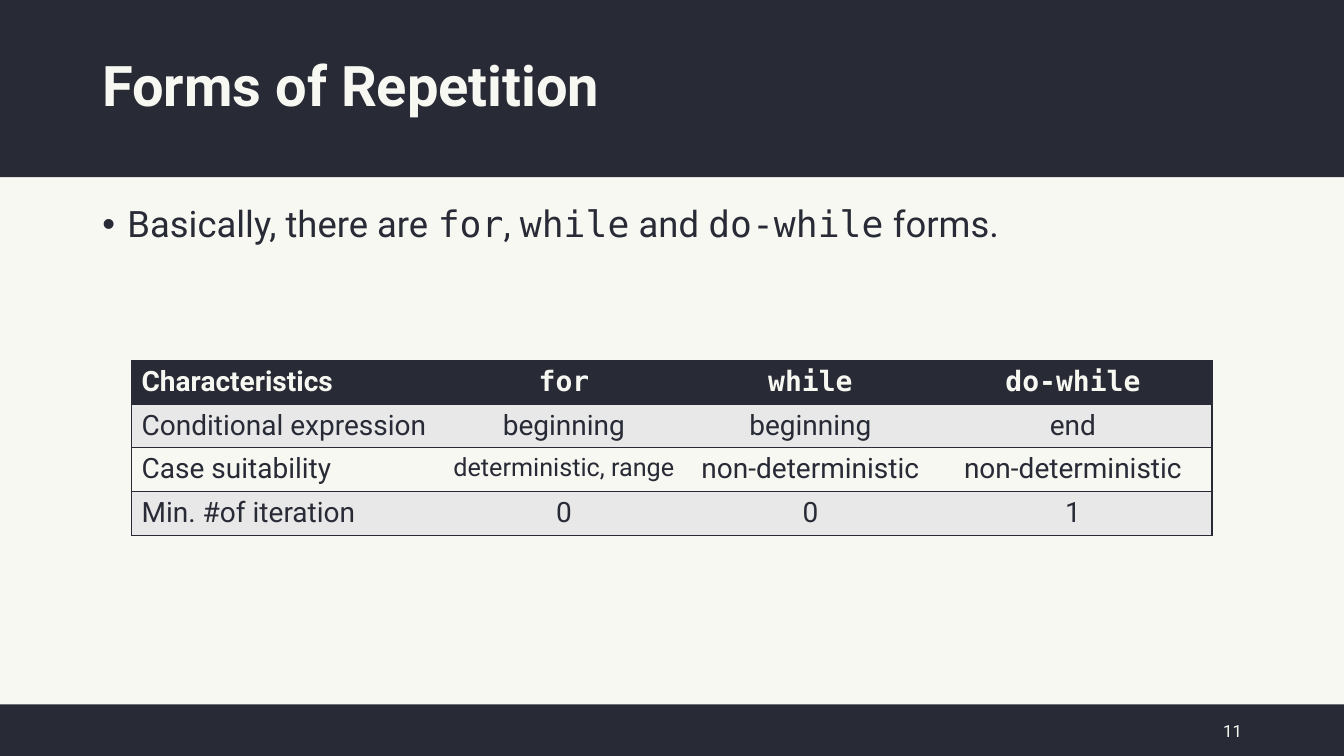
from dataclasses import dataclass
from lxml.etree import SubElement
from pptx import Presentation
from pptx.dml.color import RGBColor
from pptx.enum.shapes import MSO_SHAPE
from pptx.enum.text import MSO_ANCHOR, PP_ALIGN
from pptx.oxml.ns import qn
from pptx.util import Pt


@dataclass(frozen=True)
class Theme:
    dark: str = "282A36"
    light: str = "F8F8F2"
    band: str = "E8E8E8"
    sans: str = "Roboto"
    mono: str = "DejaVu Sans Mono"
    title: int = 40
    body: int = 26
    cell: int = 20
    small: int = 18
    page: int = 12


theme = Theme()


def style(run, size, color, face=theme.sans, bold=False):
    font = run.font
    font.name, font.size, font.bold = face, Pt(size), bold
    font.color.rgb = RGBColor.from_string(color)


def add_text(left, top, width, height, anchor):
    frame = slide.shapes.add_textbox(Pt(left), Pt(top), Pt(width), Pt(height)).text_frame
    frame.word_wrap = True
    frame.vertical_anchor = anchor
    return frame


deck = Presentation()
deck.slide_width, deck.slide_height = Pt(960), Pt(540)
slide = deck.slides.add_slide(deck.slide_layouts[6])
slide.background.fill.solid()
slide.background.fill.fore_color.rgb = RGBColor.from_string(theme.light)

# Header and footer bars
for top, height in ((0, 126.5), (503.2, 36.8)):
    bar = slide.shapes.add_shape(MSO_SHAPE.RECTANGLE, 0, Pt(top), Pt(960), Pt(height))
    bar.shadow.inherit = False
    bar.fill.solid()
    bar.fill.fore_color.rgb = RGBColor.from_string(theme.dark)
    bar.line.fill.background()

# Title
frame = add_text(66, 10.8, 828, 104.4, MSO_ANCHOR.MIDDLE)
frame.text = "Forms of Repetition"
line = frame.paragraphs[0]
line.line_spacing = 0.9
style(line.runs[0], theme.title, theme.light, bold=True)

# Bullet, with keywords in the mono face
line = add_text(66, 144, 828, 342.7, MSO_ANCHOR.TOP).paragraphs[0]
line.line_spacing = 0.9
line.space_before = Pt(10)
props = line._p.get_or_add_pPr()
props.set("marL", str(Pt(18)))
props.set("indent", str(Pt(-18)))
SubElement(props, qn("a:buFont"), typeface="Arial")
SubElement(props, qn("a:buChar"), char="•")
parts = ("Basically, there are ", "for", ", ", "while", " and ", "do-while", " forms.")
for spot, part in enumerate(parts):
    run = line.add_run()
    run.text = part
    style(run, theme.body, theme.dark, theme.mono if spot % 2 else theme.sans)

# Page number
frame = add_text(841, 507.6, 53.3, 28.8, MSO_ANCHOR.MIDDLE)
frame.text = "11"
line = frame.paragraphs[0]
line.alignment = PP_ALIGN.RIGHT
style(line.runs[0], theme.page, theme.light)

# Comparison table
rows = (
    ("Characteristics", "for", "while", "do-while"),
    ("Conditional expression", "beginning", "beginning", "end"),
    ("Case suitability", "deterministic, range", "non-deterministic", "non-deterministic"),
    ("Min. #of iteration", "0", "0", "1"),
)
widths = (221, 175.7, 176.4, 198.7)
high = 30.7
table = slide.shapes.add_table(
    len(rows), len(widths), Pt(94), Pt(257.3), Pt(sum(widths)), Pt(high * len(rows))
).table
table.horz_banding = False
for col, width in enumerate(widths):
    table.columns[col].width = Pt(width)

for row, texts in enumerate(rows):
    table.rows[row].height = Pt(high)
    head = row == 0
    fill = theme.dark if head else theme.band if row % 2 else theme.light
    for col, text in enumerate(texts):
        cell = table.cell(row, col)
        cell.text = text
        line = cell.text_frame.paragraphs[0]
        line.alignment = PP_ALIGN.CENTER if col else PP_ALIGN.LEFT
        size = theme.small if text == "deterministic, range" else theme.cell
        face = theme.mono if head and col else theme.sans
        style(line.runs[0], size, theme.light if head else theme.dark, face, head)

        # Rules across the rows and around the outside, none between columns
        props = cell._tc.get_or_add_tcPr()
        drawn = {"L": col == 0, "R": col == len(widths) - 1, "T": True, "B": True}
        for side, shown in drawn.items():
            edge = SubElement(props, qn(f"a:ln{side}"), w=str(Pt(1)))
            if shown:
                paint = SubElement(edge, qn("a:solidFill"))
                SubElement(paint, qn("a:srgbClr"), val=theme.dark)
            else:
                SubElement(edge, qn("a:noFill"))
        cell.fill.solid()
        cell.fill.fore_color.rgb = RGBColor.from_string(fill)

deck.save("out.pptx")
